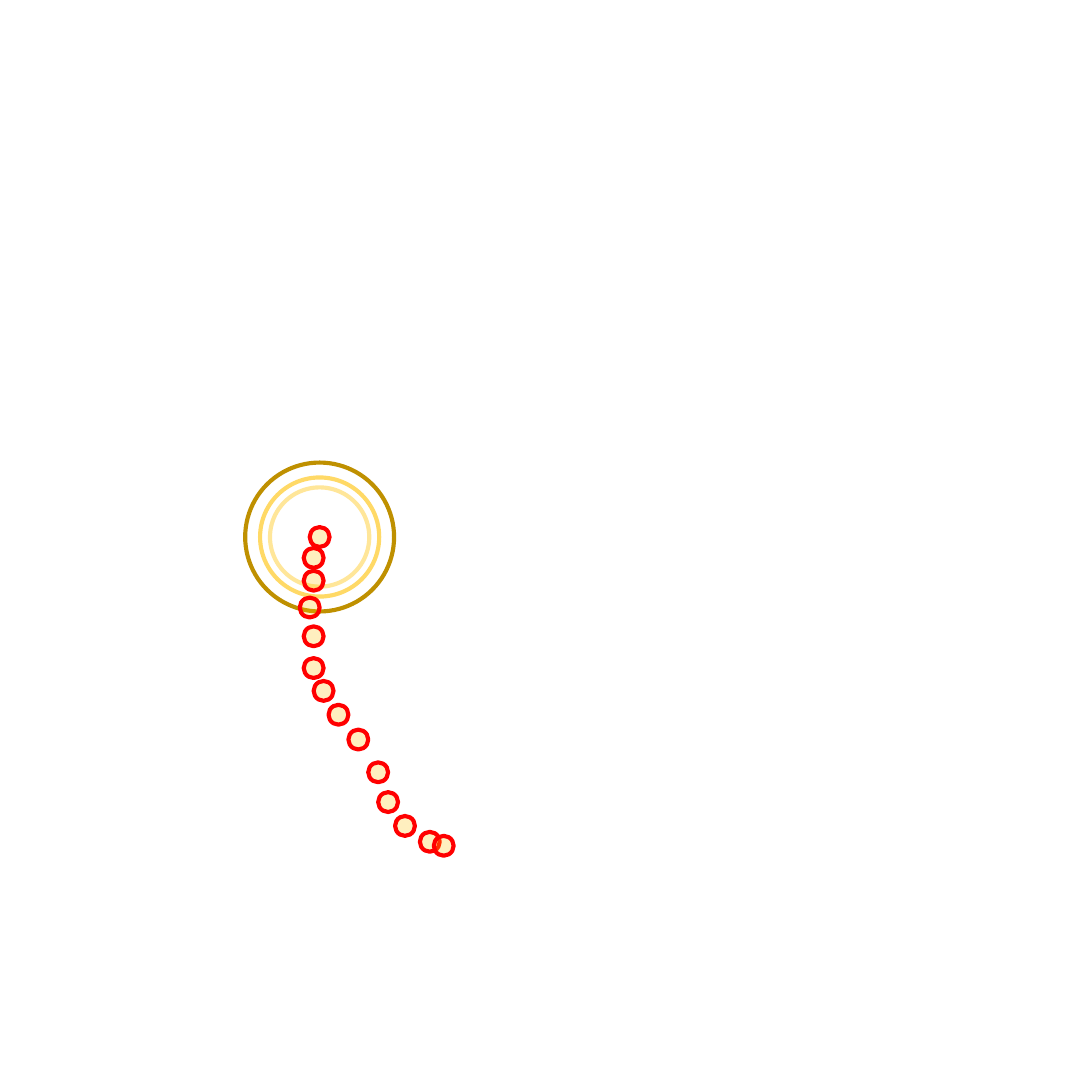
import dataclasses

import lxml.etree
import pptx
import pptx.dml.color
import pptx.enum.shapes
import pptx.oxml.ns
import pptx.util
from pptx.util import Inches


@dataclasses.dataclass(frozen=True)
class Theme:
    inner_ring: str = "FFE699"
    middle_ring: str = "FFD966"
    outer_ring: str = "BF9000"
    dot_fill: str = "FFC000"
    dot_line: str = "FF0000"
    dot_opacity: int = 25
    line_width: int = 3


class Painter:
    def __init__(self, page, theme):
        self.page = page
        self.theme = theme

    def circle(self, shapes, center, diameter, line_color):
        x, y = center
        shape = shapes.add_shape(
            pptx.enum.shapes.MSO_SHAPE.OVAL,
            Inches(x - diameter / 2), Inches(y - diameter / 2),
            Inches(diameter), Inches(diameter))
        shape.shadow.inherit = False
        shape.fill.background()
        shape.line.color.rgb = pptx.dml.color.RGBColor.from_string(line_color)
        shape.line.width = pptx.util.Pt(self.theme.line_width)
        return shape

    def target(self, center, rings):
        group = self.page.shapes.add_group_shape()
        for diameter, color in rings:
            self.circle(group.shapes, center, diameter, color)

    def dot(self, center, diameter):
        shape = self.circle(self.page.shapes, center, diameter, self.theme.dot_line)
        shape.fill.solid()
        shape.fill.fore_color.rgb = pptx.dml.color.RGBColor.from_string(self.theme.dot_fill)
        # Make the fill see-through
        qn = pptx.oxml.ns.qn
        color = shape.element.spPr.find(f"{qn('a:solidFill')}/{qn('a:srgbClr')}")
        alpha = lxml.etree.SubElement(color, qn("a:alpha"))
        alpha.set("val", str(self.theme.dot_opacity * 1000))


def main():
    deck = pptx.Presentation()
    deck.slide_width = deck.slide_height = Inches(11)
    page = deck.slides.add_slide(deck.slide_layouts.get_by_name("Blank"))
    theme = Theme()
    painter = Painter(page, theme)

    # Concentric rings around the start of the trail
    start = (3.22, 5.41)
    painter.target(start, [(1, theme.inner_ring),
                           (1.2, theme.middle_ring),
                           (1.5, theme.outer_ring)])

    # Trail of dots, by center, from back to front
    trail = [start, (3.16, 6.41), (3.16, 6.73), (4.33, 8.48), (4.47, 8.52),
             (4.08, 8.32), (3.91, 8.08), (3.81, 7.78), (3.61, 7.45),
             (3.41, 7.2), (3.26, 6.96), (3.12, 6.12), (3.16, 5.85),
             (3.16, 5.62)]
    for center in trail:
        painter.dot(center, 0.2)

    deck.save("out.pptx")


if __name__ == "__main__":
    main()
